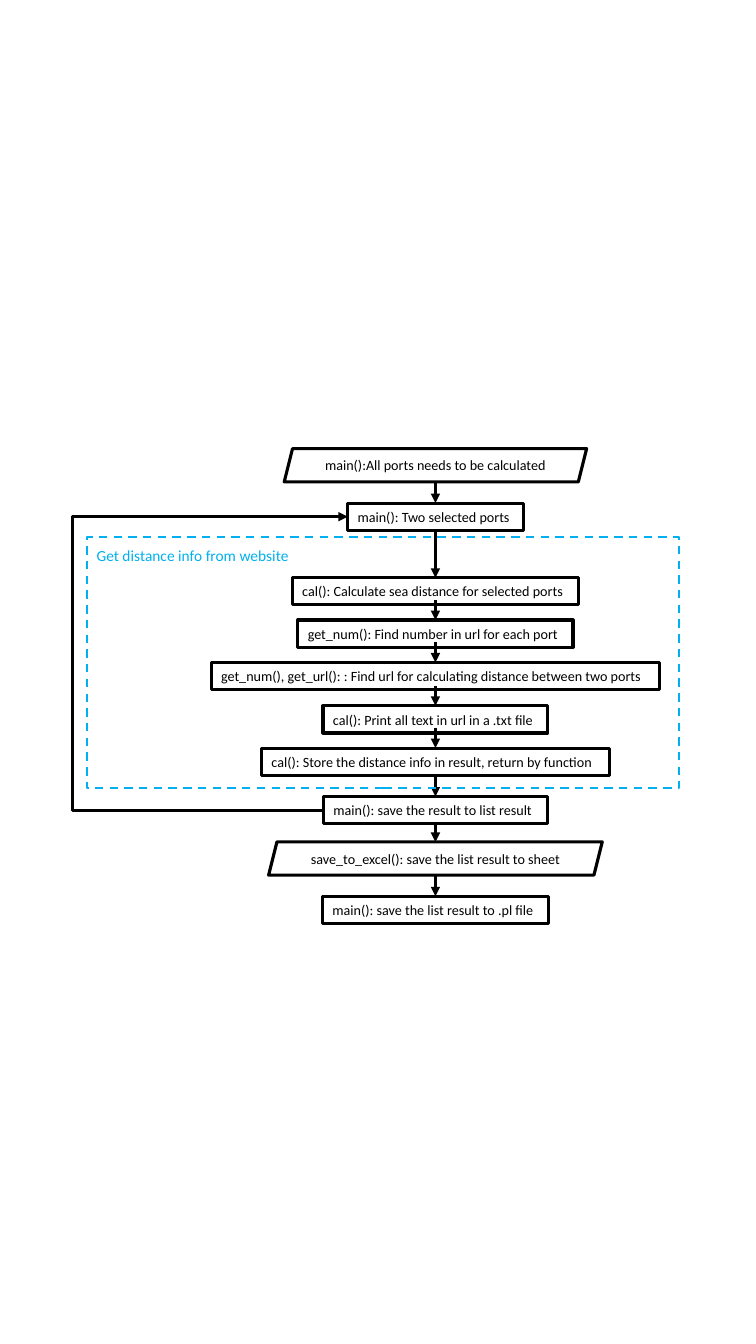
from dataclasses import dataclass

from pptx import Presentation
from pptx.dml.color import RGBColor
from pptx.enum.dml import MSO_LINE
from pptx.enum.shapes import MSO_CONNECTOR, MSO_SHAPE
from pptx.enum.text import MSO_ANCHOR, MSO_AUTO_SIZE, PP_ALIGN
from pptx.oxml.ns import qn
from pptx.util import Inches, Pt
from lxml.etree import SubElement


@dataclass(frozen=True)
class Theme:
    font: str = "Calibri"
    ink: str = "000000"
    blue: str = "00B0F0"
    step: float = 10.1
    label: float = 11
    thick: float = 2.25
    thin: float = 1.5


THEME = Theme()
WIDE, HIGH = 750, 1333
DROP = 20  # usual arrow length
BOX, SLANT = MSO_SHAPE.RECTANGLE, MSO_SHAPE.PARALLELOGRAM

# Steps: kind, top from the chart's top, width, height, text
STEPS = [
    (SLANT, 0, 300, 33, "main():All ports needs to be calculated"),
    (BOX, 54, 174, 27, "main(): Two selected ports"),
    (BOX, 128, 284, 27, "cal(): Calculate sea distance for selected ports"),
    (BOX, 170, 273, 27, "get_num(): Find number in url for each port"),
    (BOX, 212, 445, 27, "get_num(), get_url(): : Find url for calculating distance between two ports"),
    (BOX, 255, 223, 27, "cal(): Print all text in url in a .txt file"),
    (BOX, 297, 345, 27, "cal(): Store the distance info in result, return by function"),
    (BOX, 345, 222, 27, "main(): save the result to list result"),
    (SLANT, 390, 331, 33, "save_to_excel(): save the list result to sheet"),
    (BOX, 444, 224, 27, "main(): save the list result to .pl file"),
]
PICK, CALC, SAVE = 1, 2, 7  # loop head, first web step, loop end


def px(n):
    return Inches(n / 100)


def write(shape, text, size=THEME.step, color=THEME.ink, align=PP_ALIGN.LEFT):
    frame = shape.text_frame
    frame.word_wrap = False
    frame.auto_size = MSO_AUTO_SIZE.SHAPE_TO_FIT_TEXT
    frame.vertical_anchor = MSO_ANCHOR.MIDDLE
    para = frame.paragraphs[0]
    para.alignment = align
    run = para.add_run()
    run.text = text
    run.font.name = THEME.font
    run.font.size = Pt(size)
    run.font.color.rgb = RGBColor.from_string(color)


def stroke(line, color=THEME.ink, width=THEME.thick):
    line.color.rgb = RGBColor.from_string(color)
    line.width = Pt(width)


def block(slide, kind, box, **look):
    shape = slide.shapes.add_shape(kind, *map(px, box))
    shape.shadow.inherit = False
    shape.fill.background()
    stroke(shape.line, **look)
    return shape


def arrow(slide, start, end, bend=None):
    kind = MSO_CONNECTOR.STRAIGHT if bend is None else MSO_CONNECTOR.ELBOW
    link = slide.shapes.add_connector(kind, *map(px, (*start, *end)))
    stroke(link.line)
    props = link._element.spPr
    SubElement(props.find(qn("a:ln")), qn("a:tailEnd"), type="triangle")
    SubElement(props, qn("a:effectLst"))
    if bend is not None:
        # The bend's x as a share of the run from start to end
        share = round((bend - start[0]) / (end[0] - start[0]) * 100000)
        guides = props.find(qn("a:prstGeom")).get_or_add_avLst()
        SubElement(guides, qn("a:gd"), name="adj1", fmla=f"val {share}")


def flow(slide, left, top, wide):
    mid = left + wide // 2
    boxes = [(mid - w / 2, top + y, w, h) for _, y, w, h, _ in STEPS]

    # Steps
    for (kind, *_, text), box in zip(STEPS, boxes):
        align = PP_ALIGN.CENTER if kind == SLANT else PP_ALIGN.LEFT
        write(block(slide, kind, box), text, align=align)

    # Arrows down, the one into the web group being longer
    for i, box in enumerate(boxes[1:], 1):
        drop = 47 if i == CALC else DROP
        arrow(slide, (mid, box[1] - drop), (mid, box[1]))

    # Loop back to the next pair of ports
    ends = [(x, y + h / 2) for x, y, _, h in (boxes[SAVE], boxes[PICK])]
    arrow(slide, *ends, bend=left)


def group(slide, left, top, wide, high):
    # Dashed frame and its label
    frame = block(slide, BOX, (left, top, wide, high), color=THEME.blue, width=THEME.thin)
    frame.line.dash_style = MSO_LINE.DASH
    label = slide.shapes.add_textbox(*map(px, (left, top + 3, 213, 29)))
    write(label, "Get distance info from website", size=THEME.label, color=THEME.blue)


def main():
    deck = Presentation()
    deck.slide_width, deck.slide_height = px(WIDE), px(HIGH)
    slide = deck.slides.add_slide(deck.slide_layouts[6])
    flow(slide, 72, 445, 720)
    group(slide, 86, 533, 588, 249)
    deck.save("out.pptx")


if __name__ == "__main__":
    main()
